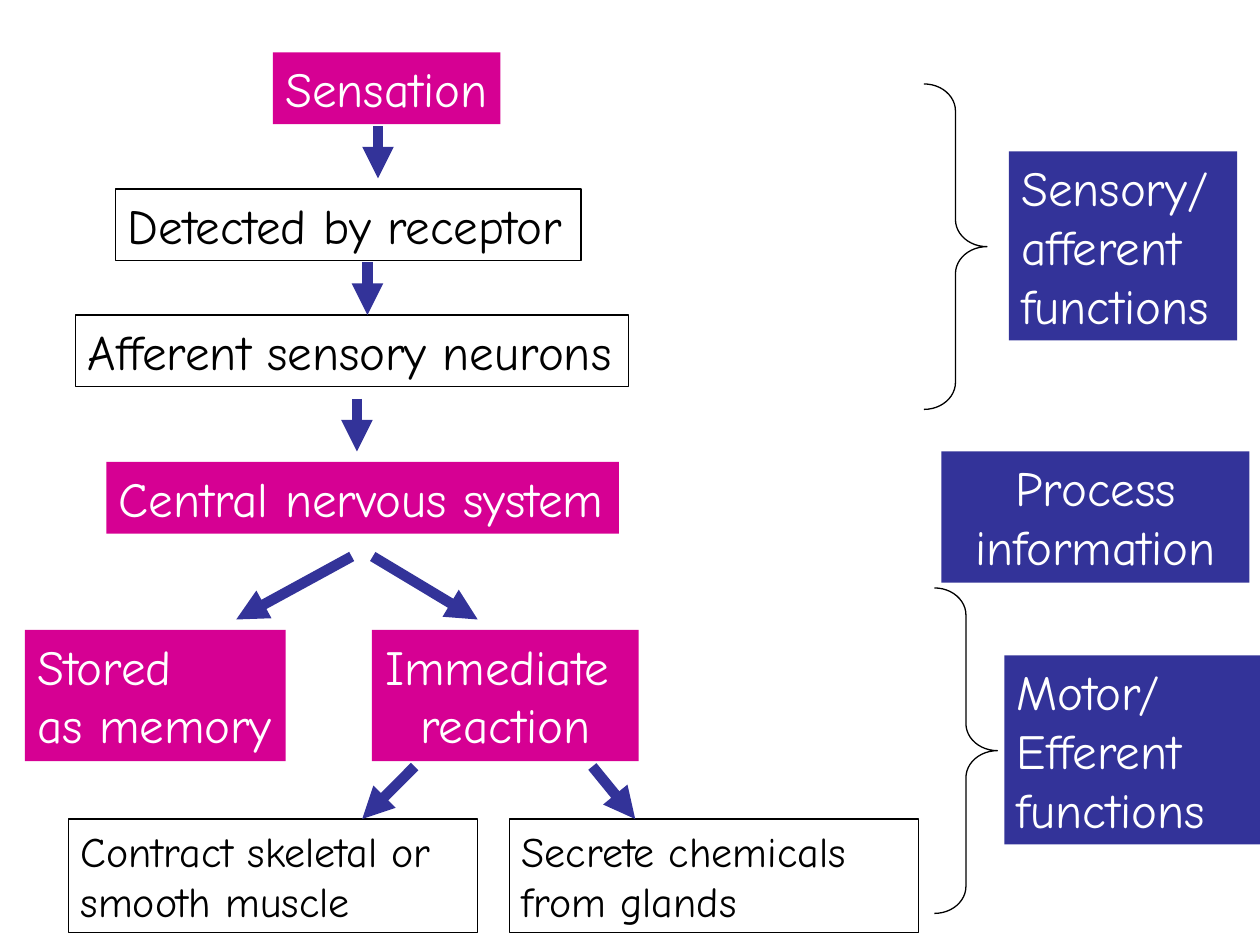
import dataclasses

import lxml.etree
import pptx
import pptx.dml.color
import pptx.enum.shapes
import pptx.enum.text
import pptx.oxml.ns
import pptx.util

Pt = pptx.util.Pt
RGB = pptx.dml.color.RGBColor.from_string
LEFT = pptx.enum.text.PP_ALIGN.LEFT
CENTER = pptx.enum.text.PP_ALIGN.CENTER


@dataclasses.dataclass(frozen=True)
class Theme:
    font: str = "Comic Neue"
    pink: str = "D60093"
    blue: str = "333399"
    black: str = "000000"
    white: str = "FFFFFF"
    large: float = 28
    small: float = 24
    outline: float = 0.75
    arrow: float = 6


THEME = Theme()

# Box styles: fill, line, text colour and size
STAGE = dict(fill=THEME.pink, line=None, color=THEME.white, size=THEME.large)
STEP = dict(fill=None, line=THEME.black, color=THEME.black, size=THEME.large)
EFFECT = dict(fill=THEME.white, line=THEME.black, color=THEME.black, size=THEME.small)
ROLE = dict(fill=THEME.blue, line=None, color=THEME.white, size=THEME.large)

# Text, (left, top, width, height), style, alignment, wrap
BOXES = [
    ("Sensation", (156, 30, 130, 41), STAGE, LEFT, False),
    ("Detected by receptor", (66, 108, 266, 41), STEP, LEFT, False),
    ("Afferent sensory neurons", (43, 180, 316, 41), STEP, LEFT, False),
    ("Central nervous system", (60.75, 264, 293, 41), STAGE, LEFT, False),
    ("Stored\nas memory", (14.25, 360, 149, 75), STAGE, LEFT, False),
    ("Immediate \nreaction", (212.5, 360, 152.5, 75), STAGE, CENTER, False),
    ("Contract skeletal or smooth muscle", (39, 468, 234, 65), EFFECT, LEFT, True),
    ("Secrete chemicals from glands", (291, 468, 234, 65), EFFECT, LEFT, True),
    ("Sensory/\nafferent\nfunctions", (576.5, 86.5, 130.5, 108), ROLE, LEFT, False),
    ("Process information", (538, 258, 176, 75), ROLE, CENTER, True),
    ("Motor/\nEfferent\nfunctions", (574, 374.5, 146, 108), ROLE, LEFT, True),
]

# Start x, start y, end x, end y
ARROWS = [
    (216, 72, 216, 102),
    (210, 150, 210, 180),
    (204, 228, 204, 258),
    (201, 318, 135, 354),
    (213, 318, 273, 354),
    (237, 438, 207, 468),
    (338.5, 438, 363, 468),
]

BRACES = [(528, 48, 36, 186), (534, 336, 36, 186)]


def set_all(target, values):
    for name, value in values.items():
        setattr(target, name, value)


def add_box(slide, text, place, style, alignment, wrap):
    box = slide.shapes.add_textbox(*map(Pt, place))
    if style["fill"]:
        box.fill.solid()
        box.fill.fore_color.rgb = RGB(style["fill"])
    if style["line"]:
        box.line.color.rgb = RGB(style["line"])
        box.line.width = Pt(THEME.outline)
    frame = box.text_frame
    frame.text = text
    set_all(frame, {
        "word_wrap": wrap,
        "auto_size": pptx.enum.text.MSO_AUTO_SIZE.SHAPE_TO_FIT_TEXT,
    })
    for paragraph in frame.paragraphs:
        paragraph.alignment = alignment
        for run in paragraph.runs:
            set_all(run.font, {"name": THEME.font, "size": Pt(style["size"])})
            run.font.color.rgb = RGB(style["color"])


def add_arrow(slide, ends):
    straight = pptx.enum.shapes.MSO_CONNECTOR.STRAIGHT
    arrow = slide.shapes.add_connector(straight, *map(Pt, ends))
    arrow.line.color.rgb = RGB(THEME.blue)
    arrow.line.width = Pt(THEME.arrow)
    qn = pptx.oxml.ns.qn
    head = lxml.etree.SubElement(arrow.line._get_or_add_ln(), qn("a:tailEnd"))
    head.set("type", "triangle")
    lxml.etree.SubElement(arrow._element.spPr, qn("a:effectLst"))


def add_brace(slide, place):
    kind = pptx.enum.shapes.MSO_SHAPE.RIGHT_BRACE
    brace = slide.shapes.add_shape(kind, *map(Pt, place))
    brace.adjustments[0] = 0.43
    brace.shadow.inherit = False
    brace.fill.background()
    brace.line.color.rgb = RGB(THEME.black)
    brace.line.width = Pt(THEME.outline)


def main():
    deck = pptx.Presentation()
    set_all(deck, {"slide_width": Pt(720), "slide_height": Pt(540)})
    slide = deck.slides.add_slide(deck.slide_layouts[6])

    # Stages of the pathway and their roles
    for box in BOXES:
        add_box(slide, *box)
    # Flow between stages
    for ends in ARROWS:
        add_arrow(slide, ends)
    # Braces joining stages to roles
    for place in BRACES:
        add_brace(slide, place)

    deck.save("out.pptx")


if __name__ == "__main__":
    main()
